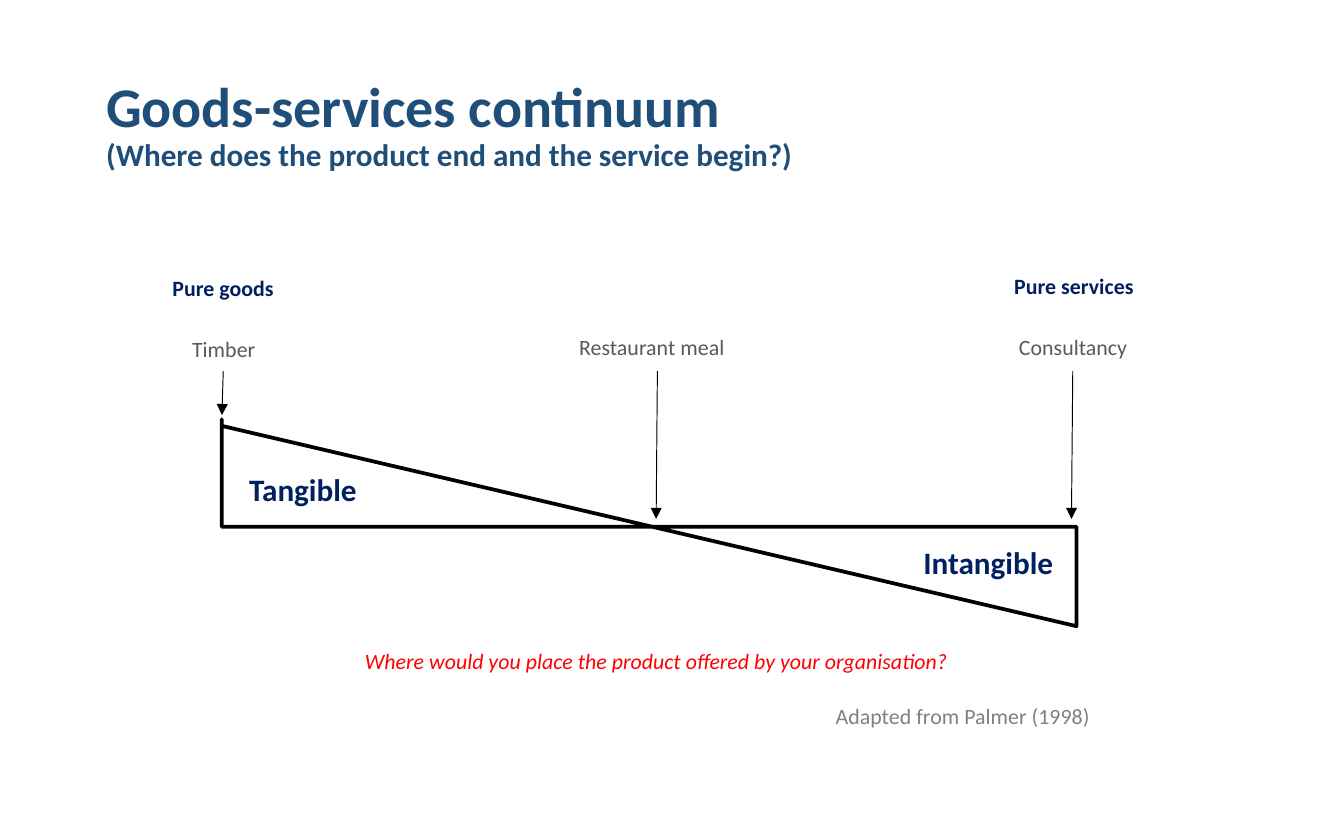
import pptx
import pptx.util
import pptx.dml.color
import pptx.enum.shapes
import pptx.enum.text
import pptx.oxml.ns
import lxml.etree

Pt = pptx.util.Pt
ALIGN = pptx.enum.text.PP_ALIGN
FONT = "Calibri"
COLORS = {"title": "1F4E79", "navy": "002060", "grey": "595959",
          "question": "FF0000", "source": "808080", "line": "000000"}

# Content: lengths in points
TITLE = [("Goods-services continuum", 30),
         ("(Where does the product end and the service begin?)", 16.7)]
STYLES = {"heading": (11.7, "navy", True), "example": (11.7, "grey", False),
          "wedge": (16.7, "navy", True)}
LABELS = [  # text, style, left, top, width, height
    ("Pure goods", "heading", 68.4, 146.9, 102.2, 20.2),
    ("Pure services", "heading", 514.8, 146.2, 121, 20.9),
    ("Timber", "example", 86.4, 180, 67, 18.7),
    ("Restaurant meal", "example", 280.8, 178.6, 136.8, 20.9),
    ("Consultancy", "example", 522, 178.6, 105.8, 20.9),
    ("Tangible", "wedge", 123.8, 252, 77, 18),
    ("Intangible", "wedge", 483.8, 290.9, 91.4, 18),
]
QUESTION = "Where would you place the product offered by your organisation?"
SOURCE = "Adapted from Palmer (1998)"
WEDGES = [(118.8, 224.6), (118.8, 282.2), (576.7, 282.2),
          (576.7, 335.5), (118.8, 228.2), (118.8, 224.6)]
ARROW_TOP = 198.9
ARROWS = [(118.9, 222.4), (351.5, 278), (574, 278)]  # tip x, tip y
ARROW_SLANT = 0.7


def color(name):
    return pptx.dml.color.RGBColor.from_string(COLORS[name])


def set_font(font, size, color_name, bold=False, italic=False):
    font.name, font.size = FONT, Pt(size)
    font.bold, font.italic = bold, italic
    font.color.rgb = color(color_name)


def add_text(slide, text, box, size, color_name, bold=False, italic=False,
             align=ALIGN.CENTER, insets=(0, 0), wrap=True):
    shape = slide.shapes.add_textbox(*map(Pt, box))
    frame = shape.text_frame
    frame.word_wrap = wrap
    frame.margin_left = frame.margin_right = Pt(insets[0])
    frame.margin_top = frame.margin_bottom = Pt(insets[1])
    paragraph = frame.paragraphs[0]
    paragraph.text, paragraph.alignment = text, align
    set_font(paragraph.font, size, color_name, bold, italic)


def add_title(slide):
    shape = slide.shapes.title
    shape.left, shape.top, shape.width, shape.height = map(Pt, (49.7, 23.8, 620.6, 87.1))
    frame = shape.text_frame
    frame.auto_size = pptx.enum.text.MSO_AUTO_SIZE.NONE
    frame.vertical_anchor = pptx.enum.text.MSO_ANCHOR.MIDDLE
    paragraph = frame.paragraphs[0]
    paragraph.alignment, paragraph.line_spacing = ALIGN.LEFT, 0.9
    set_font(paragraph.font, TITLE[0][1], "title", bold=True)
    for index, (text, size) in enumerate(TITLE):
        if index:
            paragraph.add_line_break()
        run = paragraph.add_run()
        run.text, run.font.size = text, Pt(size)
    # The line break takes the size of the first line
    line_break = paragraph._p.find(pptx.oxml.ns.qn("a:br"))
    lxml.etree.SubElement(line_break, pptx.oxml.ns.qn("a:rPr"), sz=str(TITLE[0][1] * 100))


def add_wedges(slide):
    points = [(Pt(x), Pt(y)) for x, y in WEDGES]
    builder = slide.shapes.build_freeform(*points[0])
    builder.add_line_segments(points[1:], close=False)
    shape = builder.convert_to_shape()
    shape.shadow.inherit = False
    shape.fill.background()
    shape.line.color.rgb, shape.line.width = color("line"), Pt(2)


def add_arrow(slide, x, y):
    connector = slide.shapes.add_connector(
        pptx.enum.shapes.MSO_CONNECTOR.STRAIGHT,
        Pt(x + ARROW_SLANT), Pt(ARROW_TOP), Pt(x), Pt(y))
    connector.line.color.rgb, connector.line.width = color("line"), Pt(0.5)
    qn = pptx.oxml.ns.qn
    properties = connector._element.spPr
    lxml.etree.SubElement(properties.find(qn("a:ln")), qn("a:tailEnd"), type="triangle")
    lxml.etree.SubElement(properties, qn("a:effectLst"))


def main():
    presentation = pptx.Presentation()
    presentation.slide_width, presentation.slide_height = Pt(720), Pt(450)
    slide = presentation.slides.add_slide(presentation.slide_layouts[5])

    add_title(slide)
    add_wedges(slide)
    for text, style, *box in LABELS:
        add_text(slide, text, box, *STYLES[style])

    # Closing question and source
    add_text(slide, QUESTION, (105.8, 344.2, 491.8, 20.2), 11.7, "question",
             italic=True, insets=(6, 3))
    add_text(slide, SOURCE, (440.6, 373, 151.9, 21.6), 11.7, "source",
             align=ALIGN.LEFT, insets=(7.2, 3.6), wrap=False)

    for x, y in ARROWS:
        add_arrow(slide, x, y)
    presentation.save("out.pptx")


if __name__ == "__main__":
    main()
